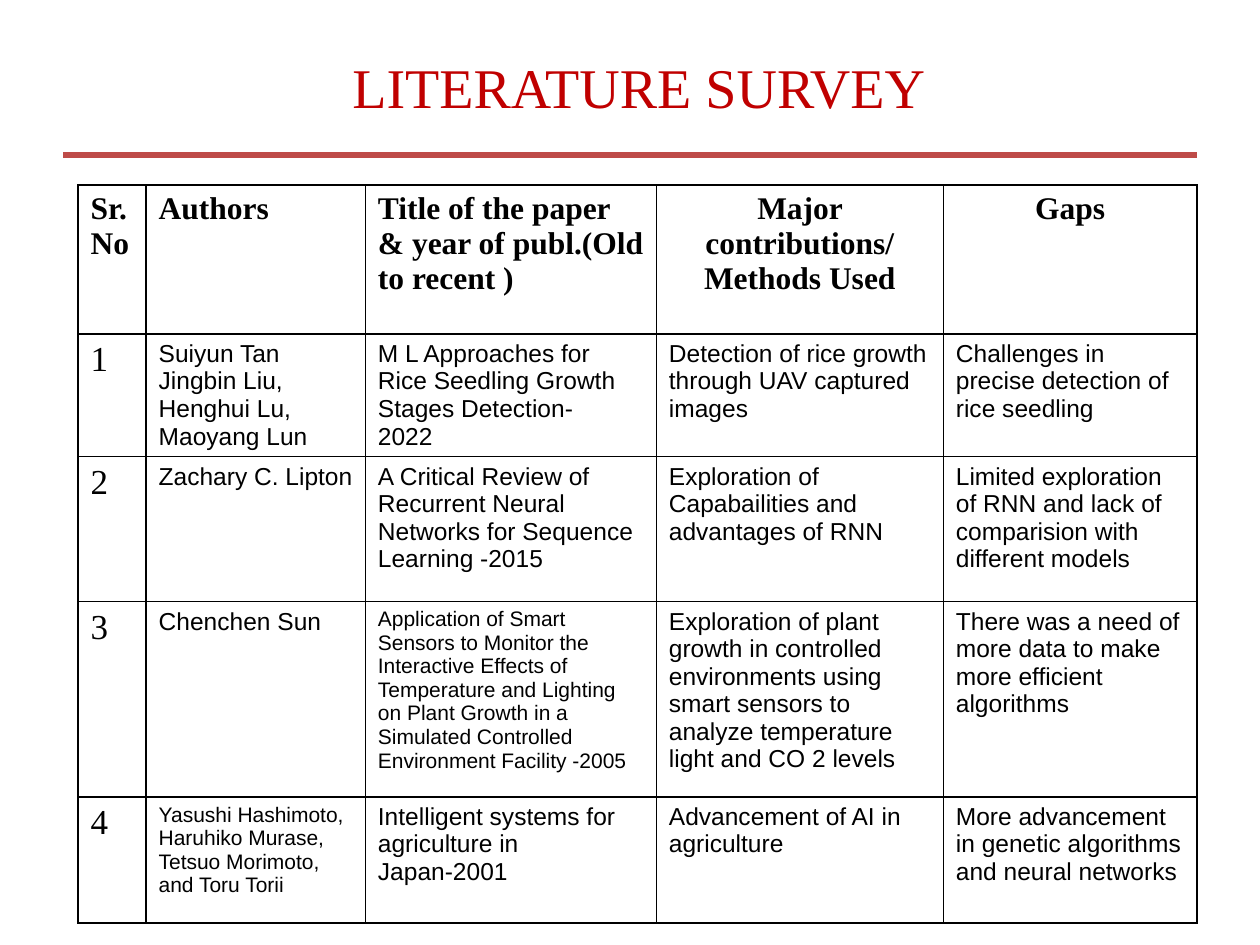
import pptx
import pptx.util
import pptx.dml.color
import pptx.enum.shapes
import pptx.enum.text
import pptx.oxml
import pptx.oxml.ns

Pt = pptx.util.Pt
RGB = pptx.dml.color.RGBColor
ALIGN = pptx.enum.text.PP_ALIGN
ANCHOR = pptx.enum.text.MSO_ANCHOR

RED = RGB(0xC0, 0x00, 0x00)
BRICK = RGB(0xBE, 0x4B, 0x48)
BLACK = RGB(0x00, 0x00, 0x00)
WHITE = RGB(0xFF, 0xFF, 0xFF)
SERIF = "Times New Roman"
SANS = "Arial"

WIDTHS = [38.9, 125.3, 166.3, 164, 145]
HEIGHTS = [85, 67.7, 82.8, 111.6, 72]
HEADS = ["Sr. No", "Authors",
         "Title of the paper & year of publ.(Old to recent )",
         "Major contributions/\nMethods Used", "Gaps"]
PAPERS = [
    ["Suiyun Tan\nJingbin Liu,\nHenghui Lu, Maoyang Lun",
     "M L Approaches for Rice Seedling Growth Stages Detection-\n2022",
     "Detection of rice growth through UAV captured images",
     "Challenges in precise detection of rice seedling"],
    ["Zachary C. Lipton",
     "A Critical Review of Recurrent Neural Networks for Sequence "
     "Learning -2015",
     "Exploration of Capabailities and advantages of RNN",
     "Limited exploration of RNN and lack of comparision with "
     "different models"],
    ["Chenchen Sun",
     "Application of Smart Sensors to Monitor the Interactive Effects of "
     "Temperature and Lighting on Plant Growth in a Simulated Controlled "
     "Environment Facility -2005",
     "Exploration of plant growth in controlled environments using smart "
     "sensors to analyze temperature light and CO 2 levels",
     "There was a need of more data to make more efficient algorithms"],
    ["Yasushi Hashimoto, Haruhiko Murase, Tetsuo Morimoto, and Toru Torii",
     "Intelligent systems for agriculture in Japan-2001",
     "Advancement of AI in agriculture",
     "More advancement in genetic algorithms and neural networks"],
]
SMALL = {(3, 2), (4, 1)}  # row and column of the cells with long text


def write(frame, text, size, face, color=BLACK, bold=False, align=ALIGN.LEFT):
    """Fill a text frame, one paragraph for each line of text."""
    for i, line in enumerate(text.split("\n")):
        para = frame.add_paragraph() if i else frame.paragraphs[0]
        para.alignment = align
        run = para.add_run()
        run.text = line
        font = run.font
        font.size, font.name, font.bold = Pt(size), face, bold
        font.color.rgb = color


def add_title(slide):
    title = slide.shapes.title
    title.left, title.top = Pt(44.6), Pt(3.6)
    title.width, title.height = Pt(648), Pt(90.7)
    title.text_frame.vertical_anchor = ANCHOR.MIDDLE
    write(title.text_frame, "LITERATURE SURVEY ", 32, SERIF, RED,
          align=ALIGN.CENTER)


def add_rule(slide):
    rule = slide.shapes.add_connector(
        pptx.enum.shapes.MSO_CONNECTOR.STRAIGHT,
        Pt(36), Pt(88.6), Pt(684), Pt(88.6))
    rule.line.color.rgb = BRICK
    rule.line.width = Pt(3.5)
    rule._element.spPr.append(pptx.oxml.parse_xml(
        f"<a:effectLst {pptx.oxml.ns.nsdecls('a')}/>"))


def dress(cell):
    """Give a cell a white fill and a thin black border."""
    props = cell._tc.get_or_add_tcPr()
    for side in ("lnL", "lnR", "lnT", "lnB"):
        props.append(pptx.oxml.parse_xml(
            f"<a:{side} {pptx.oxml.ns.nsdecls('a')} w='{Pt(0.96)}'>"
            f"<a:solidFill><a:srgbClr val='{BLACK}'/></a:solidFill>"
            f"</a:{side}>"))
    cell.fill.solid()
    cell.fill.fore_color.rgb = WHITE


def add_survey(slide):
    rows = [HEADS] + [[str(i), *paper] for i, paper in enumerate(PAPERS, 1)]
    table = slide.shapes.add_table(
        len(rows), len(HEADS), Pt(44.6), Pt(105.8),
        Pt(sum(WIDTHS)), Pt(sum(HEIGHTS))).table
    for col, width in zip(table.columns, WIDTHS):
        col.width = Pt(width)
    for row, height in zip(table.rows, HEIGHTS):
        row.height = Pt(height)
    for r, texts in enumerate(rows):
        for c, text in enumerate(texts):
            cell = table.cell(r, c)
            dress(cell)
            if r == 0:
                align = ALIGN.CENTER if c > 2 else ALIGN.LEFT
                write(cell.text_frame, text, 18, SERIF, bold=True,
                      align=align)
            elif c == 0:
                write(cell.text_frame, text, 20, SERIF)
            else:
                size = 12 if (r, c) in SMALL else 14
                write(cell.text_frame, text, size, SANS)


def main():
    deck = pptx.Presentation()
    deck.slide_width, deck.slide_height = Pt(720), Pt(540)
    slide = deck.slides.add_slide(deck.slide_layouts[5])
    add_title(slide)
    add_survey(slide)
    add_rule(slide)
    deck.save("out.pptx")


if __name__ == "__main__":
    main()
